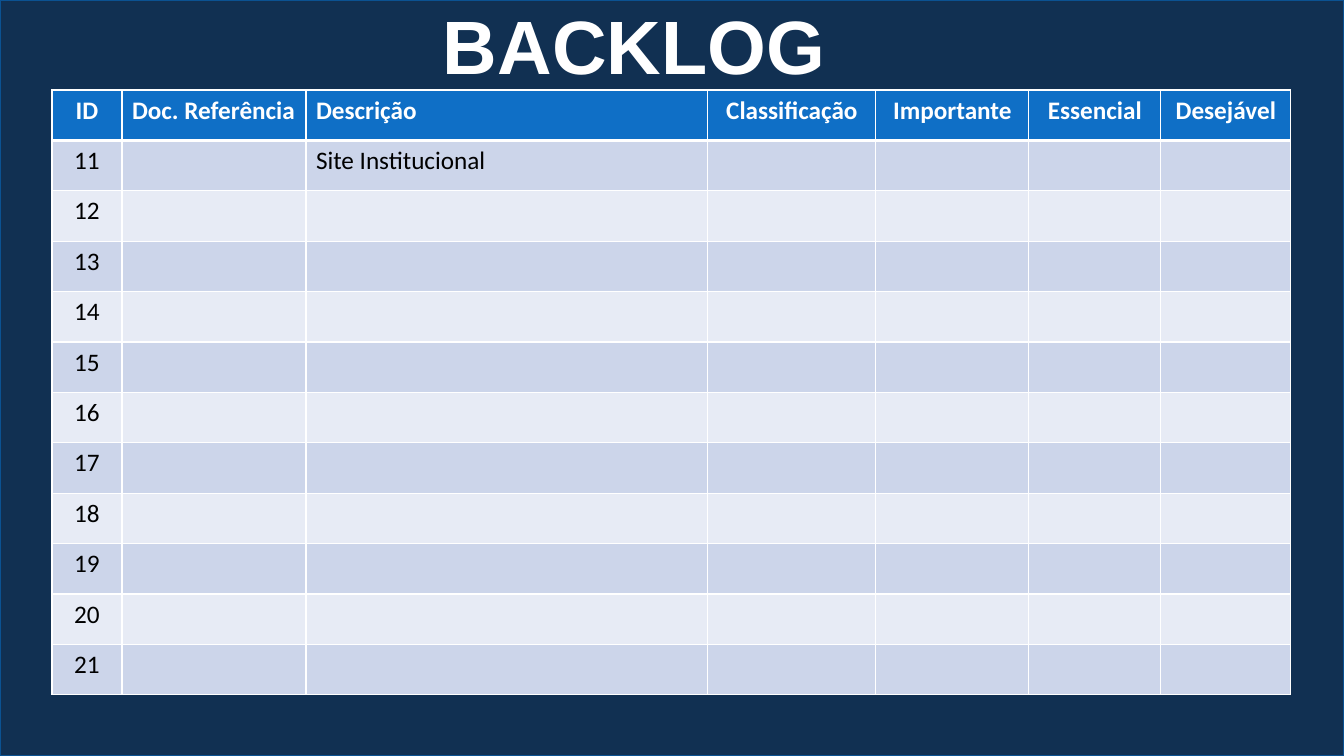
from lxml import etree
from pptx import Presentation
from pptx.dml.color import RGBColor
from pptx.enum.shapes import MSO_SHAPE
from pptx.enum.text import PP_ALIGN
from pptx.oxml.ns import qn
from pptx.util import Pt

RECTANGLE = MSO_SHAPE.RECTANGLE
LEFT, CENTER = PP_ALIGN.LEFT, PP_ALIGN.CENTER

WHITE = RGBColor(0xFF, 0xFF, 0xFF)
BLACK = RGBColor(0x00, 0x00, 0x00)
NAVY = RGBColor(0x11, 0x30, 0x52)
EDGE_BLUE = RGBColor(0x0B, 0x52, 0x92)
HEADER_BLUE = RGBColor(0x0F, 0x6F, 0xC6)
BAND_DARK = RGBColor(0xCC, 0xD5, 0xEA)
BAND_LIGHT = RGBColor(0xE7, 0xEB, 0xF5)

# Content
TITLE = "BACKLOG"
COLUMNS = [  # heading, width in px, alignment
    ("ID", 70, CENTER),
    ("Doc. Referência", 184, LEFT),
    ("Descrição", 402, LEFT),
    ("Classificação", 168, CENTER),
    ("Importante", 153, CENTER),
    ("Essencial", 132, CENTER),
    ("Desejável", 130, CENTER),
]
FIRST_ID, LAST_ID = 11, 21
DESCRIPTIONS = {11: "Site Institucional"}

# Layout in px
SLIDE_W, SLIDE_H = 1344, 756
TITLE_BOX = (433, -6, 478, 102)
TABLE_LEFT, TABLE_TOP, TABLE_HEIGHT = 52, 90, 605


def px(length):
    return round(length * 914400 / 100.8)


def write(frame, text, size=18, font="Calibri", color=BLACK, bold=False, align=LEFT):
    paragraph = frame.paragraphs[0]
    paragraph.alignment = align
    run = paragraph.add_run()
    run.text = text
    run.font.size = Pt(size)
    run.font.name = font
    run.font.bold = bold
    run.font.color.rgb = color


def set_borders(cell, top=1, bottom=1):
    properties = cell._tc.get_or_add_tcPr()
    sides = (("a:lnL", 1), ("a:lnR", 1), ("a:lnT", top), ("a:lnB", bottom))
    for position, (side, width) in enumerate(sides):
        line = etree.Element(qn(side), w=str(Pt(width)))
        fill = etree.SubElement(line, qn("a:solidFill"))
        etree.SubElement(fill, qn("a:srgbClr"), val=str(WHITE))
        properties.insert(position, line)


prs = Presentation()
prs.slide_width, prs.slide_height = px(SLIDE_W), px(SLIDE_H)
slide = prs.slides.add_slide(prs.slide_layouts[6])

# Backdrop
backdrop = slide.shapes.add_shape(RECTANGLE, 0, 0, px(SLIDE_W), px(SLIDE_H))
backdrop.shadow.inherit = False
backdrop.fill.solid()
backdrop.fill.fore_color.rgb = NAVY
backdrop.line.color.rgb = EDGE_BLUE
backdrop.line.width = Pt(1)

# Title
title = slide.shapes.add_textbox(*map(px, TITLE_BOX))
title.text_frame.word_wrap = True
write(title.text_frame, TITLE, size=54, font="Arial", color=WHITE, bold=True)

# Backlog table
rows = [[heading for heading, _, _ in COLUMNS]]
for item_id in range(FIRST_ID, LAST_ID + 1):
    rows.append([str(item_id), "", DESCRIPTIONS.get(item_id, "")] + [""] * 4)

table_width = sum(width for _, width, _ in COLUMNS)
backlog = slide.shapes.add_table(
    len(rows), len(COLUMNS),
    px(TABLE_LEFT), px(TABLE_TOP), px(table_width), px(TABLE_HEIGHT),
).table
for column, (_, width, _) in zip(backlog.columns, COLUMNS):
    column.width = px(width)

for r, row in enumerate(rows):
    is_header = r == 0
    backlog.rows[r].height = px(TABLE_HEIGHT / len(rows))
    band = HEADER_BLUE if is_header else (BAND_LIGHT, BAND_DARK)[r % 2]
    for c, text in enumerate(row):
        cell = backlog.cell(r, c)
        cell.fill.solid()
        cell.fill.fore_color.rgb = band
        set_borders(cell, top=3 if r == 1 else 1, bottom=3 if is_header else 1)
        if text:
            write(cell.text_frame, text, color=WHITE if is_header else BLACK,
                  bold=is_header, align=COLUMNS[c][2])

prs.save("out.pptx")
